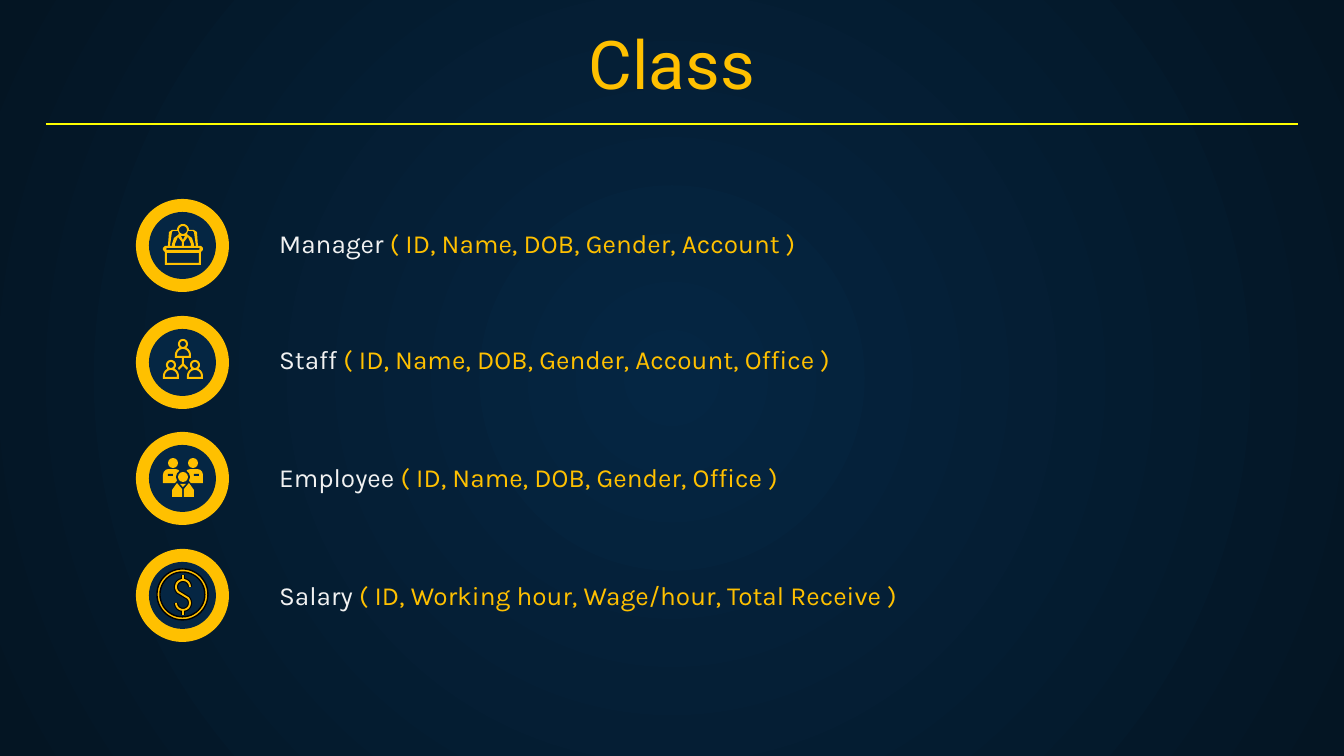
from math import cos, radians, sin

from lxml import etree
from pptx import Presentation
from pptx.dml.color import RGBColor
from pptx.enum.shapes import MSO_CONNECTOR, MSO_SHAPE
from pptx.enum.text import MSO_ANCHOR, PP_ALIGN
from pptx.oxml.ns import qn
from pptx.util import Emu, Pt

GOLD = RGBColor(0xFF, 0xC0, 0x00)
YELLOW = RGBColor(0xFF, 0xFF, 0x00)
NAVY = RGBColor(0x05, 0x26, 0x43)
DARK = RGBColor(0x04, 0x15, 0x23)
WHITE = RGBColor(0xF2, 0xF2, 0xF2)
BLACK = RGBColor(0, 0, 0)
OVAL = MSO_SHAPE.OVAL
DONUT = MSO_SHAPE.DONUT
RECTANGLE = MSO_SHAPE.RECTANGLE
BUST = MSO_SHAPE.ROUND_2_SAME_RECTANGLE
STRAIGHT = MSO_CONNECTOR.STRAIGHT
TOP, BOTTOM = MSO_ANCHOR.TOP, MSO_ANCHOR.BOTTOM
CENTER = PP_ALIGN.CENTER
SCALE = 914400 / 134.4


def px(value):
    return Emu(round(value * SCALE))


class ClassSlide:
    title_font = "Roboto"
    body_font = "Karla"

    def __init__(self, presentation):
        self.slide = presentation.slides.add_slide(presentation.slide_layouts[5])
        self.shapes = self.slide.shapes
        self.x = self.y = 0

    def background(self, inner, outer):
        fill = self.slide.background.fill
        fill.gradient()
        for stop, color in zip(fill.gradient_stops, (inner, outer)):
            stop.color.rgb = color
        linear = self.slide._element.find(".//" + qn("a:lin"))
        circle = etree.Element(qn("a:path"), path="circle")
        etree.SubElement(circle, qn("a:fillToRect"), l="50000", t="50000", r="50000", b="50000")
        linear.getparent().replace(linear, circle)

    def format_run(self, run, font, size, color):
        run.font.name = font
        run.font.size = Pt(size)
        run.font.color.rgb = color

    def title(self, text, left, top, width, height):
        shape = self.shapes.title
        shape.left, shape.top, shape.width, shape.height = map(px, (left, top, width, height))
        frame = shape.text_frame
        frame.text = text
        frame.vertical_anchor = BOTTOM
        frame.margin_left = frame.margin_right = frame.margin_top = frame.margin_bottom = px(13)
        paragraph = frame.paragraphs[0]
        paragraph.alignment = CENTER
        self.format_run(paragraph.runs[0], self.title_font, 36, GOLD)

    def label(self, name, fields, left, top, width, height):
        frame = self.shapes.add_textbox(*map(px, (left, top, width, height))).text_frame
        frame.word_wrap = True
        frame.vertical_anchor = TOP
        paragraph = frame.paragraphs[0]
        for text, color in ((name + " ", WHITE), (f"( {fields} )", GOLD)):
            run = paragraph.add_run()
            run.text = text
            self.format_run(run, self.body_font, 14, color)

    def paint(self, shape, fill, line, weight):
        shape.shadow.inherit = False
        for part, color in ((shape.fill, fill), (shape.line.fill, line)):
            if color is None:
                part.background()
            else:
                part.solid()
                part.fore_color.rgb = color
        if line is not None:
            shape.line.width = Pt(weight)

    def origin(self, x, y):
        self.x, self.y = x, y

    def shape(self, kind, left, top, width, height, fill=None, line=None, weight=1, adjust=None):
        box = (self.x + left, self.y + top, width, height)
        shape = self.shapes.add_shape(kind, *map(px, box))
        if adjust is not None:
            shape.adjustments[0] = adjust
        self.paint(shape, fill, line, weight)

    def disc(self, x, y, radius, fill):
        self.shape(OVAL, x - radius, y - radius, 2 * radius, 2 * radius, fill)

    def outline(self, contours, fill=None, line=None, weight=1, close=True):
        placed = [[(px(self.x + x), px(self.y + y)) for x, y in contour] for contour in contours]
        builder = self.shapes.build_freeform(*placed[0][0], scale=1.0)
        for index, points in enumerate(placed):
            if index:
                builder.move_to(*points[0])
            builder.add_line_segments(points[1:], close=close)
        self.paint(builder.convert_to_shape(), fill, line, weight)

    def line(self, start, end, color, weight):
        connector = self.shapes.add_connector(STRAIGHT, *map(px, (*start, *end)))
        connector.line.color.rgb = color
        connector.line.width = Pt(weight)
        etree.SubElement(connector._element.spPr, qn("a:effectLst"))


def mirrored(points):
    return [points, [(-x, y) for x, y in points]]


def symmetric(points):
    return points + [(-x, y) for x, y in reversed(points)]


def arc(x, y, radius, start, end):
    return [(x + radius * cos(radians(a)), y - radius * sin(radians(a)))
            for a in range(start, end + 1, 15)]


def manager_icon(page):
    silhouette = arc(0, -15, 6, 0, 90)[::-1] + [
        (11, -15), (14, -13), (15, 1), (18, 1), (20, 3), (20, 5), (18, 7), (18, 20)]
    chair = [(5, -14), (10, -14), (11, -13), (13, 1), (11, 1), (11, -1), (9, -7), (5, -10), (4, -11)]
    jacket = [(5, -8), (1, -3), (1, 1), (8, 1), (8, -1)]
    page.outline([
        symmetric(silhouette), arc(0, -15, 4, 0, 345), [(-2, -9), (2, -9), (0, -5)],
        *mirrored(chair), *mirrored(jacket),
        symmetric([(16, 3), (17, 4), (16, 5)]), symmetric([(16, 8), (16, 18)])], GOLD)


def staff_figure(x, y):
    body = arc(x, y + 11, 8, 0, 60) + arc(x, y, 5, -45, 225) + arc(x, y + 11, 8, 120, 180)
    chest = arc(x, y + 11, 6, 0, 180)
    return [body + [(x - 8, y + 14), (x + 8, y + 14)], arc(x, y, 3, 0, 345),
            chest + [(x - 6, y + 12), (x + 6, y + 12)]]


def staff_icon(page):
    branch = [(1, -4), (1, 2), (5, 6), (4, 8), (0, 4)]
    figures = [staff_figure(x, y) for x, y in ((0, -18), (-12, 3), (12, 3))]
    page.outline(sum(figures, [symmetric(branch)]), GOLD)


def employee_icon(page):
    for side in (-1, 1):
        page.disc(10 * side, -15, 5, GOLD)
        page.shape(BUST, 11 * side - 9, -9, 18, 14, GOLD, adjust=0.4)
        page.shape(RECTANGLE, 13 * side - 2, -4, 5, 2, NAVY)
    page.disc(0, -1, 7, NAVY)
    page.outline([symmetric([(12, 18), (11, 9), (6, 3)])], NAVY)
    page.disc(0, -1, 5, GOLD)
    for half in mirrored([(-6, 5), (-1, 11), (-1, 19), (-11, 19), (-11, 12)]):
        page.outline([half], GOLD)
    page.outline([[(-3, 6), (3, 6), (0, 9)]], GOLD)


def salary_icon(page):
    page.shape(DONUT, -26, -26, 51, 51, GOLD, BLACK, 0.75, 0.06)
    upper = arc(0, -8, 7, 0, 225)
    curve = upper + [(-x, -y) for x, y in reversed(upper)]
    strokes = [curve, [(0, -20), (0, -15)], [(0, 15), (0, 20)]]
    for color, weight in ((BLACK, 2.25), (GOLD, 1)):
        page.outline(strokes, line=color, weight=weight, close=False)


ROWS = [
    ("Manager", "ID, Name, DOB, Gender, Account", 221, manager_icon),
    ("Staff", "ID, Name, DOB, Gender, Account, Office", 337, staff_icon),
    ("Employee", "ID, Name, DOB, Gender, Office", 455, employee_icon),
    ("Salary", "ID, Working hour, Wage/hour, Total Receive", 573, salary_icon),
]

presentation = Presentation()
presentation.slide_width, presentation.slide_height = px(1344), px(756)
page = ClassSlide(presentation)
page.background(NAVY, DARK)
page.title("Class", 46, 27, 1252, 89)
page.line((46, 124), (1298, 124), YELLOW, 0.75)
for index, (name, fields, label_top, draw_icon) in enumerate(ROWS):
    page.origin(183, round(245 + index * 350 / 3))
    page.shape(OVAL, -47, -46, 93, 93, GOLD)
    page.shape(OVAL, -34, -33, 67, 67, NAVY)
    draw_icon(page)
    page.label(name, fields, 266, label_top, 681, 77)
presentation.save("out.pptx")
